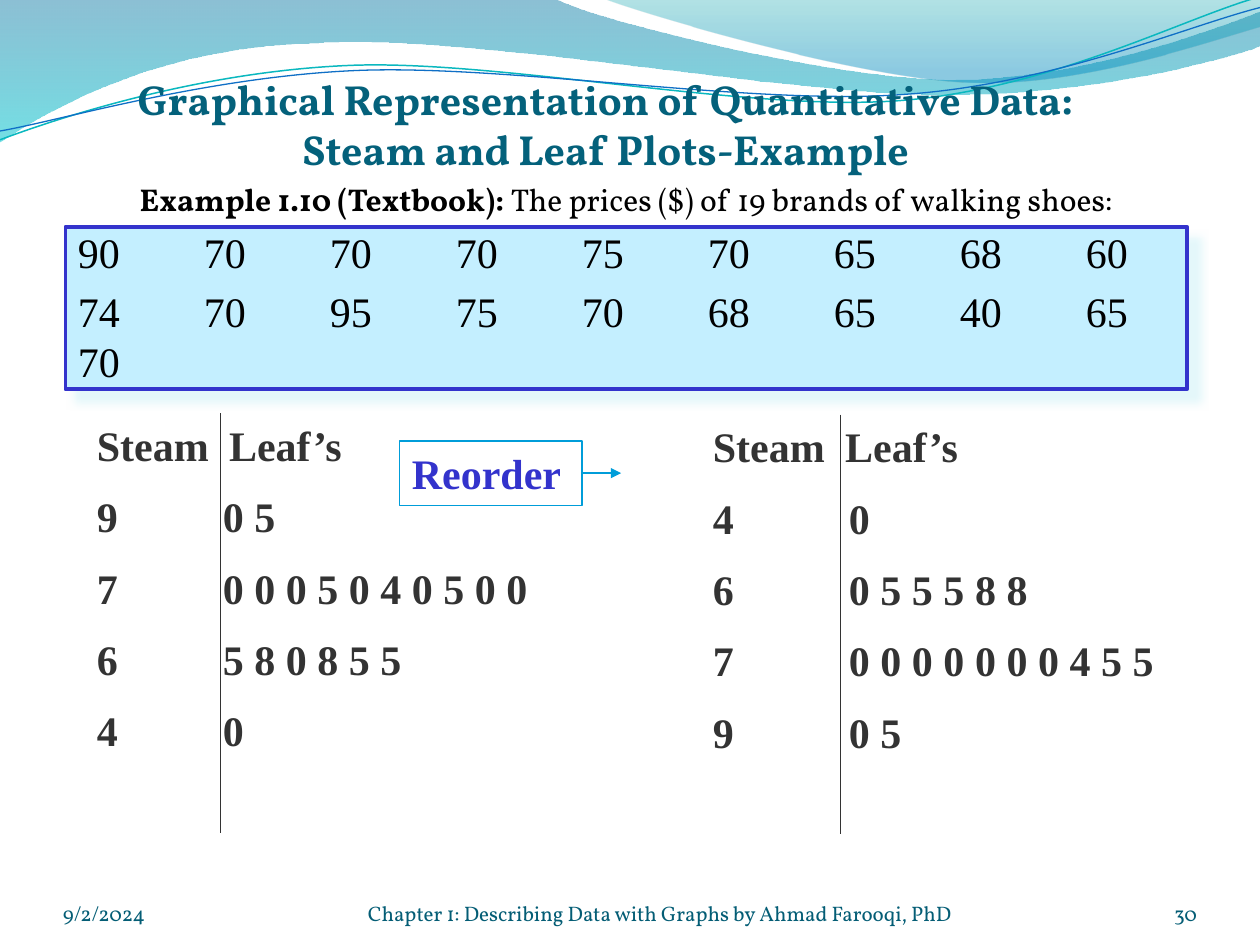
from lxml.etree import SubElement as Sub
from pptx import Presentation
from pptx.dml.color import RGBColor as Rgb
from pptx.enum.shapes import MSO_CONNECTOR as Link, MSO_SHAPE as Form
from pptx.enum.text import MSO_ANCHOR as Anchor, PP_ALIGN as Align
from pptx.oxml.ns import qn
from pptx.util import Inches, Pt

HUES = {
    "title": "04617B", "foot": "045D75", "ink": "000000", "stem": "333333",
    "frame": "3333CC", "panel": "C4EFFF", "shade": "DBF5F9", "arrow": "009DD9",
    "deep": "0074A1", "aqua": "00C6CF", "teal": "00A1A9", "sky": "008BBF",
    "cyan": "0AB8BF", "blue": "0F6FC6",
}
SERIF, ROMAN = "Vollkorn", "Times New Roman"
COLS, ROWS = 100, 75


class Deck:
    """Style and current slide; lengths are in grid columns and rows."""

    def __init__(self):
        self.prs = Presentation()
        self.prs.slide_width, self.prs.slide_height = Inches(10), Inches(7.5)
        self.shapes = self.prs.slides.add_slide(self.prs.slide_layouts[6]).shapes

    def x(self, col):
        return round(self.prs.slide_width * col / COLS)

    def y(self, row):
        return round(self.prs.slide_height * row / ROWS)

    def area(self, left, top, wide, high):
        return self.x(left), self.y(top), self.x(wide), self.y(high)

    def hue(self, name):
        return Rgb.from_string(HUES[name])

    def stroke(self, line, name, width):
        line.color.rgb = self.hue(name)
        line.width = Pt(width)

    def outline(self, start, steps, close):
        """Freeform of steps: one point is a line, three are a cubic curve."""
        spots = [(self.x(a), self.y(b)) for step in steps for a, b in step]
        pen = self.shapes.build_freeform(self.x(start[0]), self.y(start[1]), 1)
        pen.add_line_segments(spots, close=close)
        form = pen.convert_to_shape()
        form.shadow.inherit = False
        nodes = iter(list(form._element.spPr.iter(qn("a:lnTo"))))
        for step in steps:
            first, *rest = [next(nodes) for _ in step]
            if rest:
                first.tag = qn("a:cubicBezTo")
            for node in rest:
                first.append(node[0])
                node.getparent().remove(node)
        return form

    def wave(self, start, steps, stops):
        form = self.outline(start, steps, True)
        form.line.fill.background()
        form.fill.gradient()
        form.fill.gradient_angle = 270
        for stop, (spot, name, _) in zip(form.fill.gradient_stops, stops):
            stop.position = spot
            stop.color.rgb = self.hue(name)
        nodes = form._element.spPr.iter(qn("a:srgbClr"))
        for node, (_, _, alpha) in zip(nodes, stops):
            Sub(node, qn("a:alpha"), val=str(alpha * 1000))

    def curve(self, start, steps, name, width):
        form = self.outline(start, steps, False)
        form.fill.background()
        self.stroke(form.line, name, width)

    def box(self, area, line, width, fill=None):
        box = self.shapes.add_shape(Form.RECTANGLE, *self.area(*area))
        box.shadow.inherit = False
        if fill:
            box.fill.solid()
            box.fill.fore_color.rgb = self.hue(fill)
        else:
            box.fill.background()
        self.stroke(box.line, line, width)
        return box

    def shade(self, box, name):
        effects = box._element.spPr.find(qn("a:effectLst"))
        cast = Sub(effects, qn("a:outerShdw"), blurRad=str(Pt(5)),
                   dist=str(Pt(8.5)), dir="2700000", algn="tl", rotWithShape="0")
        tint = Sub(cast, qn("a:srgbClr"), val=HUES[name])
        Sub(tint, qn("a:alpha"), val="75000")

    def style(self, para, size, face, name, bold=False, align=Align.LEFT, gap=0):
        font = para.font
        font.size, font.name, font.bold = Pt(size), face, bold
        font.color.rgb = self.hue(name)
        para.alignment = align
        para.space_before = Pt(gap)

    def tabs(self, para, *cols):
        props = para._p.get_or_add_pPr()
        stops = Sub(props, qn("a:tabLst"))
        for col in cols:
            Sub(stops, qn("a:tab"), pos=str(self.x(col)), algn="l")
        props.find(qn("a:defRPr")).addprevious(stops)

    def text(self, area):
        frame = self.shapes.add_textbox(*self.area(*area)).text_frame
        frame.word_wrap = True
        return frame

    def label(self, area, words, *look, inset=0, **more):
        """Text without side margins that sits on the bottom of its area."""
        frame = self.text(area)
        frame.margin_left = frame.margin_right = frame.margin_bottom = 0
        frame.margin_top = self.y(inset)
        frame.vertical_anchor = Anchor.BOTTOM
        frame.text = words
        self.style(frame.paragraphs[0], *look, **more)

    def line(self, start, end, name):
        link = self.shapes.add_connector(
            Link.STRAIGHT, self.x(start[0]), self.y(start[1]),
            self.x(end[0]), self.y(end[1]))
        self.stroke(link.line, name, 0.75)
        Sub(link._element.spPr, qn("a:effectLst"))
        return link

    def arrow(self, box, start, end, name):
        link = self.line(start, end, name)
        link.begin_connect(box, 3)
        Sub(link.line._get_or_add_ln(), qn("a:tailEnd"), type="triangle")

    def plot(self, area, rule, tab, rows):
        """Stem and leaf rows, with a rule between stems and leaves."""
        frame = self.text(area)
        for i, row in enumerate([("Steam", "Leaf’s"), *rows]):
            para = frame.add_paragraph() if i else frame.paragraphs[0]
            para.text = "\t".join(row)
            self.style(para, 24, ROMAN, "stem", True, gap=12 if i else 0)
            self.tabs(para, tab if i else 10.5)
        self.line((rule, area[1]), (rule, area[1] + 33.3), "stem")


def main():
    deck = Deck()
    deck.wave((0, 0), [
        [(44, -0.1)],
        [(47.6, 1.7), (66.4, 6.3), (75.8, 6.3)],
        [(85.3, 6.3), (95.8, 2.6), (100, 0.9)],
        [(100.1, 3.6)],
        [(98.3, 4.4), (87, 7.6), (74.6, 7.5)],
        [(62.2, 7.5), (38.2, 2.8), (25.7, 3.4)],
        [(12.9, 3.6), (4.6, 8.3), (-0.1, 11.3)],
    ], [(0, "deep", 45), (1, "aqua", 55)])
    deck.wave((47.9, -0.1), [
        [(50.9, 1.1), (68.2, 6.2), (76.9, 6.5)],
        [(85.6, 6.9), (96.1, 3.2), (100, 2.1)],
        [(100, 0)],
    ], [(0, "teal", 30), (0.8, "sky", 45)])
    deck.curve((0, 11.1), [
        [(4.8, 9.3), (15.8, 5.7), (27.7, 5.2)],
        [(39.5, 4.7), (59.3, 8.9), (71.3, 8)],
        [(83.3, 7.1), (93.8, 1.5), (99.8, -0.2)],
    ], "cyan", 0.85)
    deck.curve((0, 10.4), [
        [(4.7, 9.6), (16.4, 6.1), (28.3, 5.6)],
        [(40.3, 5.1), (59.7, 8.4), (71.7, 7.5)],
        [(83.6, 6.7), (94.1, 2.1), (100, 0.6)],
    ], "blue", 0.75)

    deck.label((5.2, 4.9, 85.7, 8.9),
               "Graphical Representation of Quantitative Data:\v"
               "Steam and Leaf Plots-Example",
               24, SERIF, "title", True, Align.CENTER, inset=0.5)

    panel = deck.box((5.2, 18, 89, 12.9), "frame", 2.25, "panel")
    deck.shade(panel, "shade")
    prices = deck.text((5.2, 13.8, 89, 17.8))
    head = prices.paragraphs[0]
    deck.style(head, 18, SERIF, "ink", align=Align.CENTER)
    lead = head.add_run()
    lead.text = "Example 1.10 (Textbook): "
    lead.font.bold = True
    head.add_run().text = "The prices ($) of 19 brands of walking shoes:"
    for row in ("90,70,70,70,75,70,65,68,60", "74,70,95,75,70,68,65,40,65 70"):
        para = prices.add_paragraph()
        para.text = row.replace(",", "\t")
        deck.style(para, 24, ROMAN, "ink", gap=4.8)
        deck.tabs(para, *range(10, 90, 10))

    deck.plot((6.7, 32.8, 36.9, 29.3), 17.5, 10, [
        ("9", "0 5"), ("7", "0 0 0 5 0 4 0 5 0 0"),
        ("6", "5 8 0 8 5 5"), ("4", "0")])
    deck.plot((55.6, 32.9, 41.4, 29.3), 66.7, 10.8, [
        ("4", "0"), ("6", "0 5 5 5 8 8"),
        ("7", "0 0 0 0 0 0 0 4 5 5"), ("9", "0 5")])

    step = deck.box((31.7, 35, 14.5, 5.1), "arrow", 0.75)
    step.text_frame.text = "Reorder"
    step.text_frame.vertical_anchor = Anchor.TOP
    deck.style(step.text_frame.paragraphs[0], 24, ROMAN, "frame", True)
    deck.arrow(step, (46.2, 37.55), (49.3, 37.55), "arrow")

    for left, wide, words, align in (
            (5, 23.3, "9/2/2024", Align.LEFT),
            (29.2, 46.7, "Chapter 1: Describing Data with Graphs by "
             "Ahmad Farooqi, PhD", Align.LEFT),
            (86.7, 8.3, "30", Align.RIGHT)):
        deck.label((left, 69.5, wide, 4), words, 12, SERIF, "foot", align=align)
    deck.prs.save("out.pptx")


if __name__ == "__main__":
    main()
